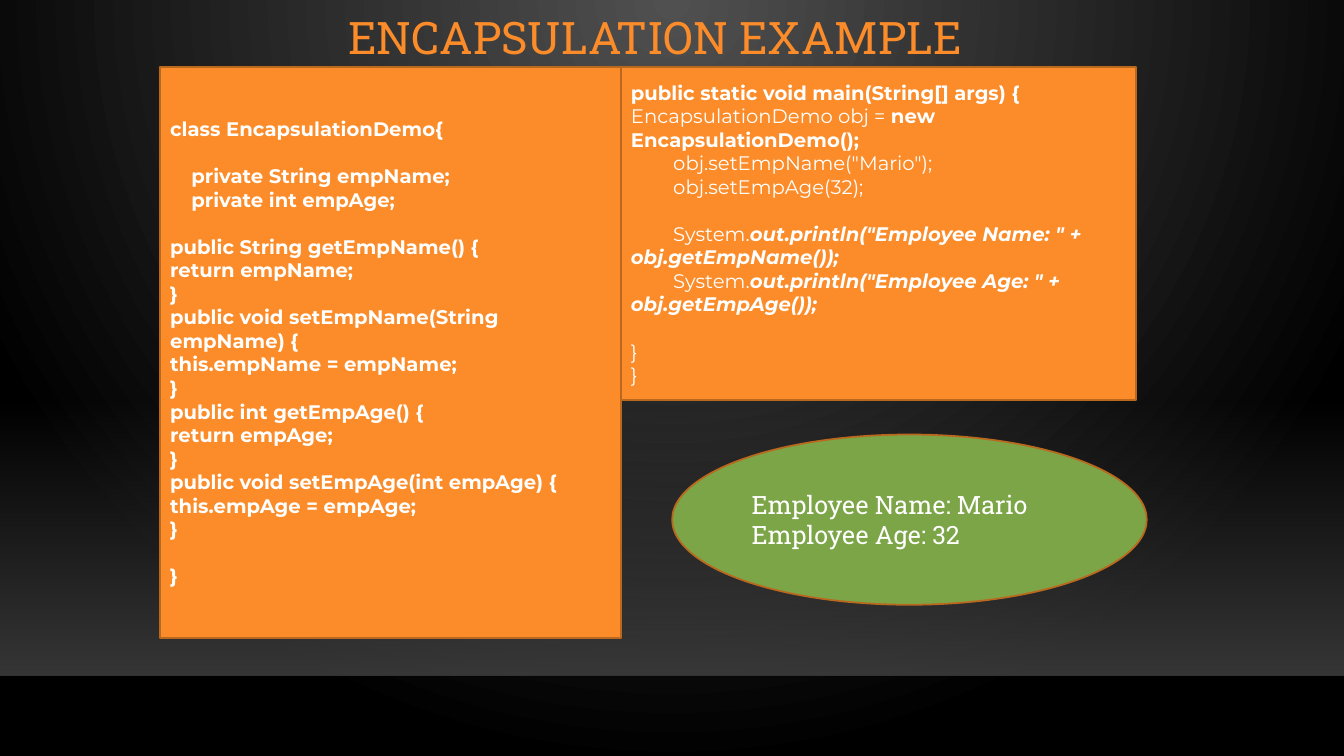
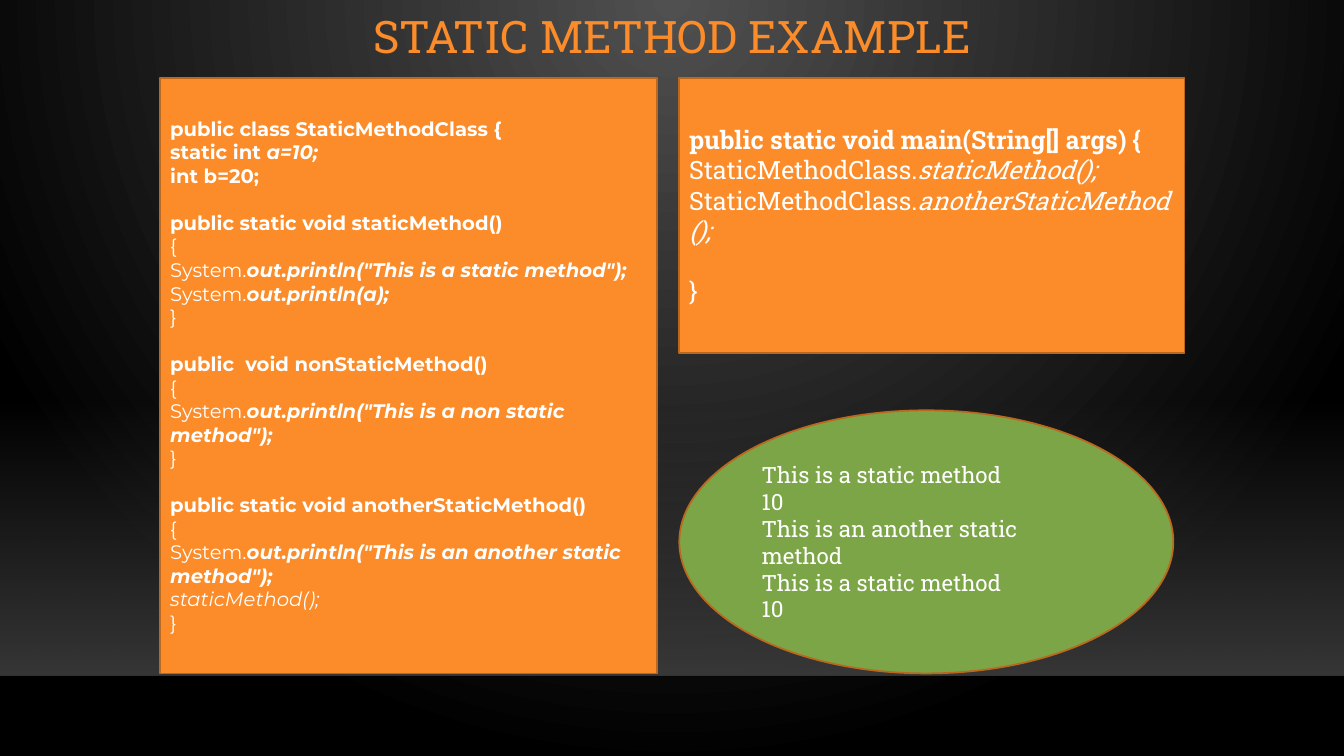
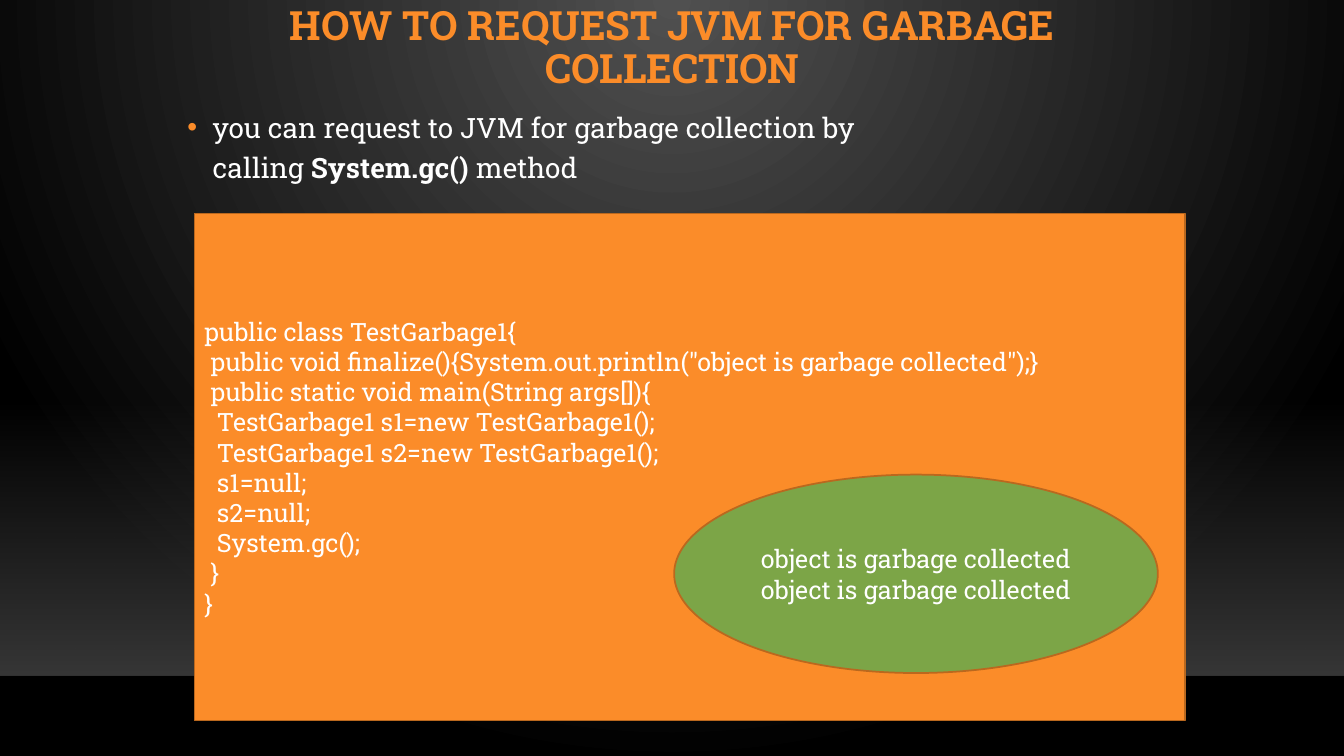
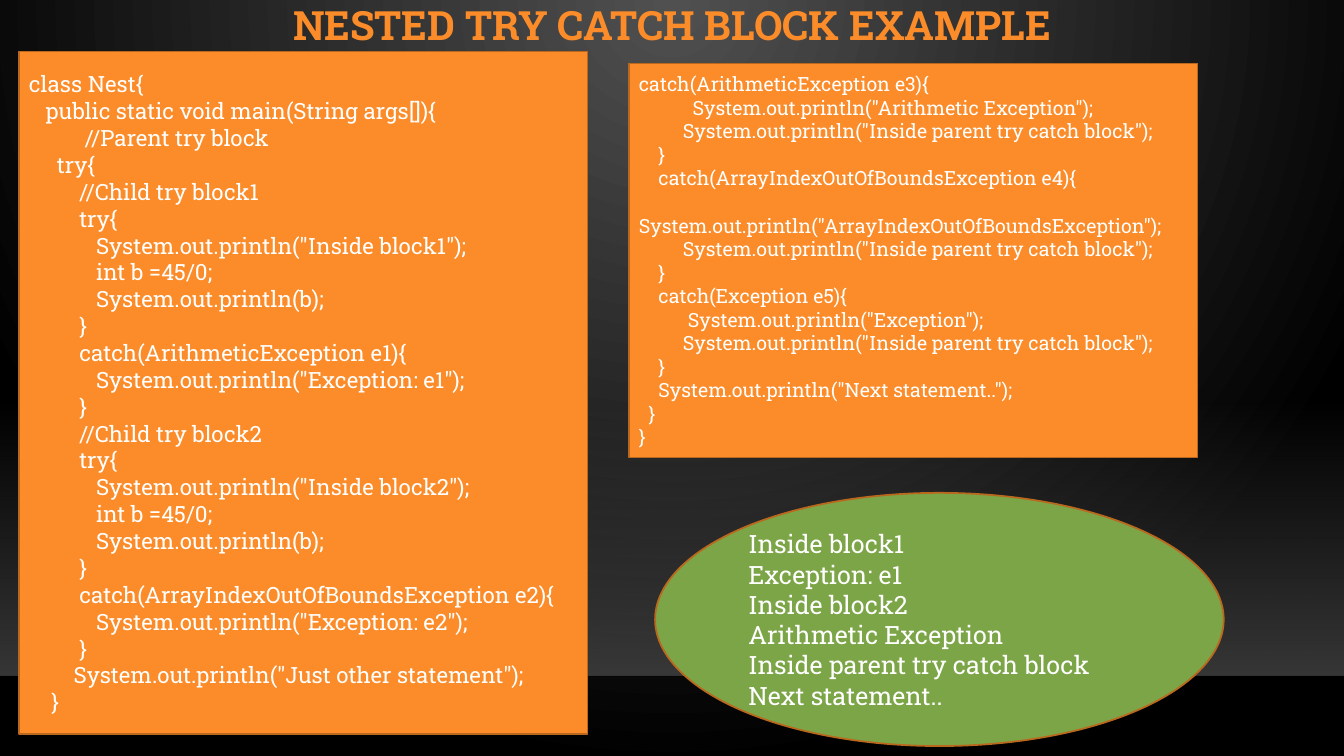
from dataclasses import dataclass
from typing import Iterator, NamedTuple

from lxml import etree
from pptx import Presentation
from pptx.dml.color import RGBColor
from pptx.enum import shapes, text
from pptx.oxml import ns
from pptx.util import Cm, Pt

ORANGE = RGBColor(0xFB, 0x8C, 0x29)
BROWN = RGBColor(0xBA, 0x68, 0x1E)
GREEN = RGBColor(0x7C, 0xA5, 0x47)
WHITE = RGBColor(0xFF, 0xFF, 0xFF)
BLACK = RGBColor(0, 0, 0)
NEAR_BLACK = RGBColor(0, 0, 1)
GLOW = RGBColor(0x50, 0x50, 0x50)
FLOOR = RGBColor(0x45, 0x45, 0x45)

SLAB = "Roboto Slab"
SANS = "Montserrat"
SPACE_WIDTH = {SLAB: 0.25, SANS: 0.27}
LINE_HEIGHT = 1.2
WIDTH, HEIGHT = 33.87, 19.05
TITLE_WIDTH = 25.81
HORIZON = 17.04

LEFT = text.PP_ALIGN.LEFT
CENTER = text.PP_ALIGN.CENTER
RECTANGLE = shapes.MSO_SHAPE.RECTANGLE
OVAL = shapes.MSO_SHAPE.OVAL


class Box(NamedTuple):
    left: float
    top: float
    width: float
    height: float

    def lengths(self) -> list:
        return [Cm(value) for value in self]


class Run(NamedTuple):
    text: str
    bold: bool
    italic: bool


@dataclass(frozen=True)
class Title:
    text: str
    box: Box
    size: float = 32
    bold: bool = False


@dataclass(frozen=True)
class Panel:
    text: str
    box: Box
    size: float = 18
    font: str = SLAB
    outline: shapes.MSO_SHAPE = RECTANGLE
    fill: RGBColor = ORANGE
    align: text.PP_ALIGN = LEFT


@dataclass(frozen=True)
class Page:
    title: Title
    panels: tuple
    bullet: str = ""


def output(content: str, box: Box, size: float = 18, align=LEFT) -> Panel:
    return Panel(content, box, size, outline=OVAL, fill=GREEN, align=align)


def styled_runs(line: str) -> Iterator[Run]:
    """Asterisks toggle bold and tildes toggle italic."""
    for i, chunk in enumerate(line.split("*")):
        for j, piece in enumerate(chunk.split("~")):
            if piece:
                yield Run(piece, i % 2 == 1, j % 2 == 1)


def add_runs(paragraph, line: str, size: float, font: str, color=WHITE) -> None:
    for part in styled_runs(line):
        run = paragraph.add_run()
        run.text = part.text
        run.font.name, run.font.size = font, Pt(size)
        run.font.bold, run.font.italic = part.bold, part.italic
        run.font.color.rgb = color


def set_indent(paragraph, margin: int, first_line: int) -> None:
    properties = paragraph._p.get_or_add_pPr()
    properties.set("marL", str(int(margin)))
    properties.set("indent", str(int(first_line)))


def add_lines(frame, panel: Panel) -> None:
    paragraph, gap = frame.paragraphs[0], 0
    for number, line in enumerate(panel.text.splitlines()):
        if not line:
            gap += panel.size * LINE_HEIGHT
            continue
        if number:
            paragraph = frame.add_paragraph()
        paragraph.alignment = panel.align
        if gap:
            paragraph.space_before = Pt(gap)
            gap = 0
        code = line.lstrip(" ")
        columns = len(line) - len(code)
        if columns:
            set_indent(paragraph, 0, Pt(columns * panel.size * SPACE_WIDTH[panel.font]))
        add_runs(paragraph, code, panel.size, panel.font)


def draw_panel(slide, panel: Panel) -> None:
    shape = slide.shapes.add_shape(panel.outline, *panel.box.lengths())
    shape.shadow.inherit = False
    shape.fill.solid()
    shape.fill.fore_color.rgb = panel.fill
    shape.line.color.rgb = BROWN
    shape.line.width = Pt(1.25)
    shape.text_frame.word_wrap = True
    shape.text_frame.vertical_anchor = text.MSO_ANCHOR.MIDDLE
    add_lines(shape.text_frame, panel)


def draw_title(slide, title: Title) -> None:
    shape = slide.shapes.title
    shape.left, shape.top, shape.width, shape.height = title.box.lengths()
    frame = shape.text_frame
    frame.word_wrap = True
    frame.auto_size = text.MSO_AUTO_SIZE.NONE
    frame.vertical_anchor = text.MSO_ANCHOR.MIDDLE
    paragraph = frame.paragraphs[0]
    paragraph.alignment = CENTER
    paragraph.line_spacing = 0.9
    content = f"*{title.text}*" if title.bold else title.text
    add_runs(paragraph, content, title.size, SLAB, ORANGE)


def draw_bullet(slide, content: str) -> None:
    box = slide.shapes.add_textbox(*Box(4.47, 2.49, TITLE_WIDTH, 14.5).lengths())
    box.text_frame.word_wrap = True
    paragraph = box.text_frame.paragraphs[0]
    paragraph.line_spacing = 1.2
    paragraph.space_before = Pt(10)
    set_indent(paragraph, Cm(0.64), Cm(-0.64))
    properties = paragraph._p.get_or_add_pPr()
    color = etree.SubElement(properties, ns.qn("a:buClr"))
    etree.SubElement(color, ns.qn("a:srgbClr"), val=str(ORANGE))
    etree.SubElement(properties, ns.qn("a:buFont"), typeface="Arial")
    etree.SubElement(properties, ns.qn("a:buChar"), char="•")
    add_runs(paragraph, content, 20, SLAB)


def set_gradient(fill, colors: tuple) -> None:
    fill.gradient()
    for stop, color in zip(fill.gradient_stops, colors):
        stop.color.rgb = color


def set_alphas(element, percents: tuple) -> None:
    for color, percent in zip(element.iter(ns.qn("a:srgbClr")), percents):
        etree.SubElement(color, ns.qn("a:alpha"), val=str(percent * 1000))


def style_master(master, slide) -> None:
    set_gradient(master.background.fill, (GLOW, BLACK))
    gradient = next(master.element.iter(ns.qn("a:gradFill")))
    gradient.remove(gradient.find(ns.qn("a:lin")))
    circle = etree.SubElement(gradient, ns.qn("a:path"))
    circle.set("path", "circle")
    etree.SubElement(circle, ns.qn("a:fillToRect"), l="43000", t="0", r="43000", b="100000")

    floor = slide.shapes.add_shape(RECTANGLE, *Box(0, 10.06, WIDTH, 6.96).lengths())
    floor.shadow.inherit = False
    floor.line.fill.background()
    set_gradient(floor.fill, (FLOOR, FLOOR))
    floor.fill.gradient_angle = 270
    set_alphas(floor.element, (0, 80))

    horizon = slide.shapes.add_connector(
        shapes.MSO_CONNECTOR.STRAIGHT, Cm(0), Cm(HORIZON), Cm(WIDTH), Cm(HORIZON))
    horizon.line.color.rgb = NEAR_BLACK
    horizon.line.width = Pt(1)
    set_alphas(horizon.element, (20,))
    etree.SubElement(horizon.element.spPr, ns.qn("a:effectLst"))

    for position, shape in enumerate((floor, horizon), start=2):
        master.shapes.element.insert(position, shape.element)


ENCAPSULATION_CLASS = """\
*class EncapsulationDemo{*

    *private String empName;*
    *private int empAge;*

*public String getEmpName() {*
*return empName;*
*}*
*public void setEmpName(String empName) {*
*this.empName = empName;*
*}*
*public int getEmpAge() {*
*return empAge;*
*}*
*public void setEmpAge(int empAge) {*
*this.empAge = empAge;*
*}*

*}*"""

ENCAPSULATION_MAIN = """\
*public static void main(String[] args) {*
EncapsulationDemo obj = *new EncapsulationDemo();*
        obj.setEmpName("Mario");
        obj.setEmpAge(32);

        System.*~out.println("Employee Name: " + obj.getEmpName());~*
        System.*~out.println("Employee Age: " + obj.getEmpAge());~*

}
}"""

STATIC_CLASS = """\
*public class StaticMethodClass {*
*static int ~a=10;~*
*int b=20;*

*public static void staticMethod()*
{
System.*~out.println("This is a static method");~*
System.*~out.println(a);~*
}

*public  void nonStaticMethod()*
{
System.*~out.println("This is a non static method");~*
}

*public static void anotherStaticMethod()*
{
System.*~out.println("This is an another static method");~*
~staticMethod();~
}"""

STATIC_MAIN = """\
*public static void main(String[] args) {*
StaticMethodClass.~staticMethod();~
StaticMethodClass.~anotherStaticMethod();~

}"""

STATIC_OUTPUT = """\
This is a static method
10
This is an another static method
This is a static method
10"""

GARBAGE_CLASS = """\
public class TestGarbage1{
 public void finalize(){System.out.println("object is garbage collected");}
 public static void main(String args[]){
  TestGarbage1 s1=new TestGarbage1();
  TestGarbage1 s2=new TestGarbage1();
  s1=null;
  s2=null;
  System.gc();
 }
}"""

NESTED_TRY = """\
class Nest{
   public static void main(String args[]){
          //Parent try block
     try{
         //Child try block1
         try{
            System.out.println("Inside block1");
            int b =45/0;
            System.out.println(b);
         }
         catch(ArithmeticException e1){
            System.out.println("Exception: e1");
         }
         //Child try block2
         try{
            System.out.println("Inside block2");
            int b =45/0;
            System.out.println(b);
         }
         catch(ArrayIndexOutOfBoundsException e2){
            System.out.println("Exception: e2");
         }
        System.out.println("Just other statement");
    }"""

NESTED_CATCH = """\
catch(ArithmeticException e3){
           System.out.println("Arithmetic Exception");
         System.out.println("Inside parent try catch block");
    }
    catch(ArrayIndexOutOfBoundsException e4){

System.out.println("ArrayIndexOutOfBoundsException");
         System.out.println("Inside parent try catch block");
    }
    catch(Exception e5){
          System.out.println("Exception");
         System.out.println("Inside parent try catch block");
    }
    System.out.println("Next statement..");
  }
}"""

NESTED_OUTPUT = """\
Inside block1
Exception: e1
Inside block2
Arithmetic Exception
Inside parent try catch block
Next statement.."""

PAGES = (
    Page(
        Title("ENCAPSULATION EXAMPLE", Box(3.61, 0, TITLE_WIDTH, 2.01)),
        (
            Panel(ENCAPSULATION_CLASS, Box(4.04, 1.68, 11.61, 14.4), 14, SANS),
            Panel(ENCAPSULATION_MAIN, Box(15.65, 1.68, 12.98, 8.41), 14, SANS),
            output("Employee Name: Mario\nEmployee Age: 32", Box(16.94, 10.95, 11.96, 4.29)),
        ),
    ),
    Page(
        Title("STATIC METHOD EXAMPLE", Box(4.04, 0, TITLE_WIDTH, 1.96)),
        (
            Panel(STATIC_CLASS, Box(4.04, 1.96, 12.52, 15.01), 14, SANS),
            Panel(STATIC_MAIN, Box(17.12, 1.96, 12.73, 6.93)),
            output(STATIC_OUTPUT, Box(17.12, 10.34, 12.45, 6.63), 16),
        ),
    ),
    Page(
        Title("HOW TO REQUEST JVM FOR GARBAGE COLLECTION",
              Box(4.04, 0, TITLE_WIDTH, 2.46), 28.8, True),
        (
            Panel(GARBAGE_CLASS, Box(4.9, 5.38, 24.97, 12.78)),
            output("object is garbage collected\nobject is garbage collected",
                   Box(16.99, 11.96, 12.19, 5), align=CENTER),
        ),
        "you can request to JVM for garbage collection by "
        "calling\u00a0*System.gc()*\u00a0method\u00a0",
    ),
    Page(
        Title("NESTED TRY CATCH BLOCK EXAMPLE", Box(4.04, 0.15, TITLE_WIDTH, 1.09), 28.8, True),
        (
            Panel(NESTED_TRY, Box(0.48, 1.3, 14.33, 17.2), 16),
            Panel(NESTED_CATCH, Box(15.85, 1.6, 14.33, 9.93), 14),
            output(NESTED_OUTPUT, Box(16.51, 12.42, 14.33, 6.38)),
        ),
    ),
)


def main() -> None:
    presentation = Presentation()
    presentation.slide_width, presentation.slide_height = Cm(WIDTH), Cm(HEIGHT)
    title_only = presentation.slide_layouts.get_by_name("Title Only")
    for number, page in enumerate(PAGES):
        slide = presentation.slides.add_slide(title_only)
        if number == 0:
            style_master(presentation.slide_master, slide)
        draw_title(slide, page.title)
        if page.bullet:
            draw_bullet(slide, page.bullet)
        for panel in page.panels:
            draw_panel(slide, panel)
    presentation.save("out.pptx")


main()
